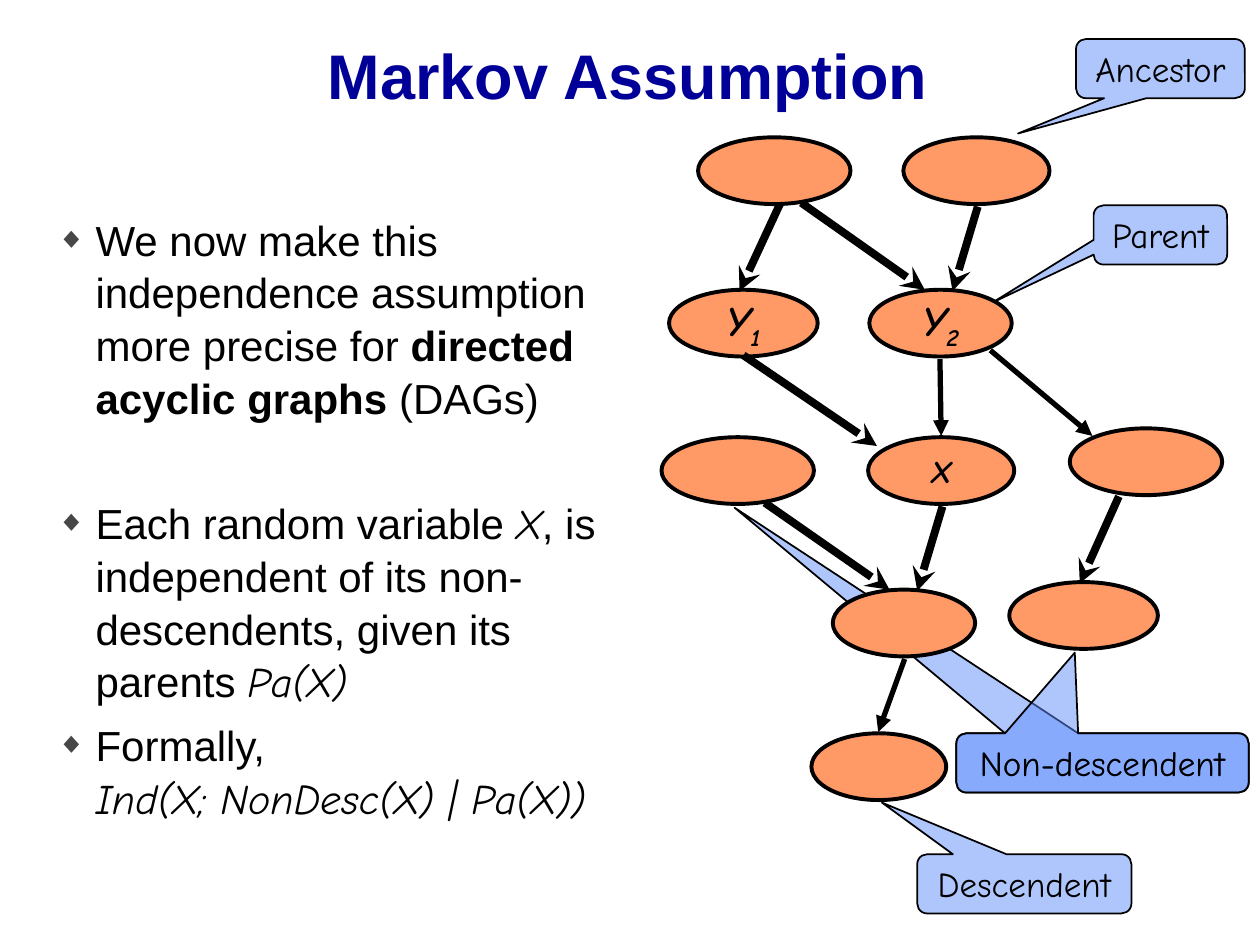
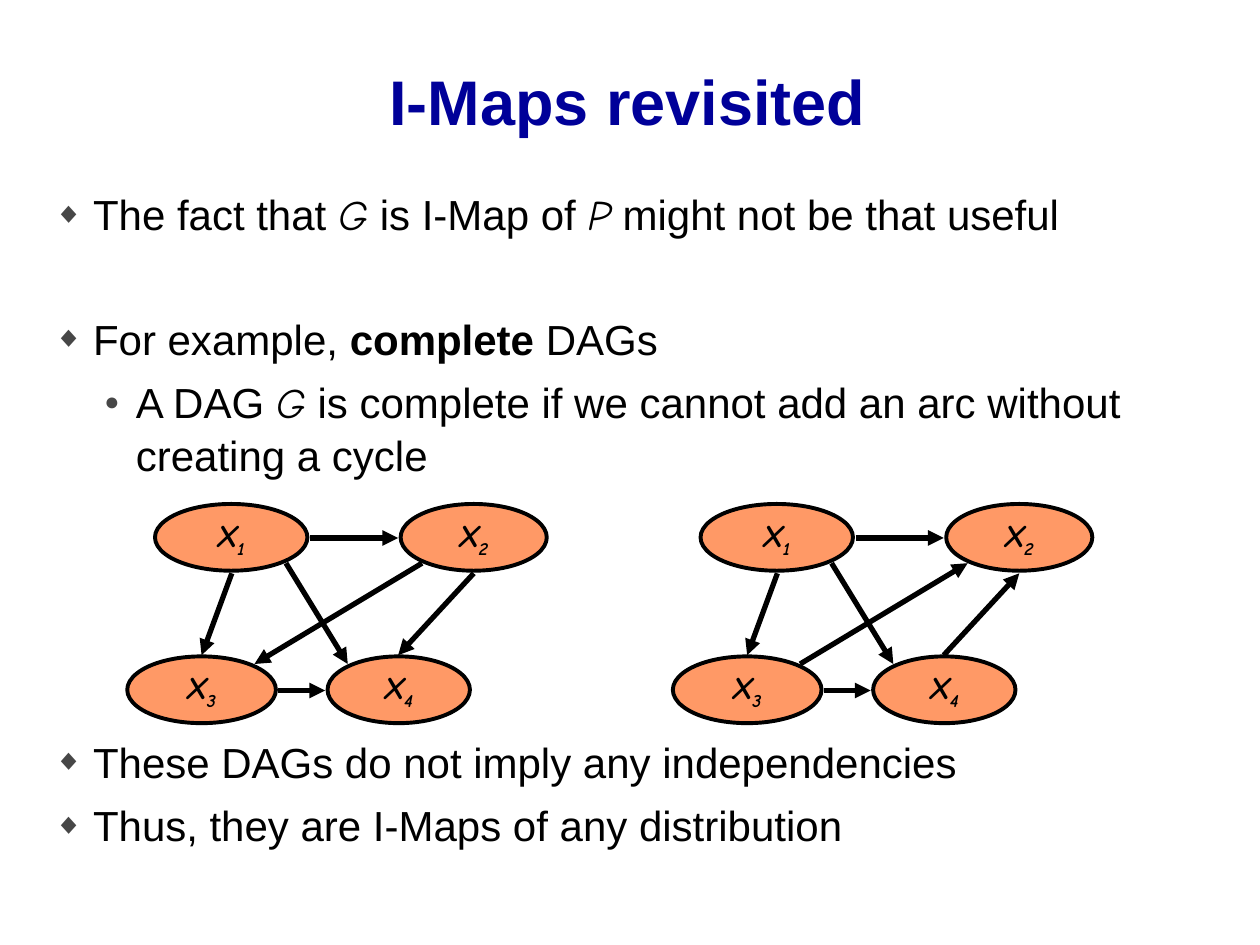
from lxml import etree
from pptx import Presentation
from pptx.dml.color import RGBColor
from pptx.enum.shapes import MSO_CONNECTOR, MSO_SHAPE
from pptx.enum.text import MSO_ANCHOR, PP_ALIGN
from pptx.oxml.ns import qn
from pptx.util import Inches, Pt

OVAL = MSO_SHAPE.OVAL
CALLOUT = MSO_SHAPE.ROUNDED_RECTANGULAR_CALLOUT
STRAIGHT = MSO_CONNECTOR.STRAIGHT
CENTER = PP_ALIGN.CENTER
MIDDLE = MSO_ANCHOR.MIDDLE
TITLE_ONLY = 5

COLORS = {"title": "000099", "text": "000000", "bullet": "474747",
          "node": "FF9966", "label": "618FFD"}
SANS, HAND = "Arial", "Comic Neue"
NODE_H, LABEL_H = 0.53, 0.47
THIN, THICK = (3, "triangle"), (4.5, "stealth")

# Bullet levels: sign, size in percent, left margin, hanging indent
LEVELS = [("◆", 70, 0.31, 0.31), ("●", 60, 0.65, 0.25)]
GAP, WIDE = 6, 41

# Each bullet: level, space before, runs of (text, style);
# style "b" is bold, "m" is mathematical
MARKOV = [
    (0, 0, [("We now make this independence assumption more precise for ", ""),
            ("directed acyclic graphs", "b"), (" (DAGs)", "")]),
    (0, WIDE, [("Each random variable ", ""), ("X", "m"),
               (", is independent of its non-descendents, given its parents ", ""),
               ("Pa(X)", "m")]),
    (0, GAP, [("Formally,", ""), ("\n", ""), ("Ind(X; NonDesc(X) | Pa(X))", "m")]),
]
IMAPS = [
    (0, 0, [("The fact that ", ""), ("G", "m"), (" is I-Map of ", ""), ("P", "m"),
            (" might not be that useful", "")]),
    (0, WIDE, [("For example, ", ""), ("complete", "b"), (" DAGs", "")]),
    (1, GAP, [("A DAG ", ""), ("G", "m"),
              (" is complete if we cannot add an arc without creating a cycle", "")]),
    (0, 145, [("These DAGs do not imply any independencies", "")]),
    (0, GAP, [("Thus, they are I-Maps of any distribution", "")]),
]

# Nodes: left, top, width, name, index, text size
NET_NODES = [
    (0.29, 0, 1.21, "", "", 18), (1.92, 0, 1.16, "", "", 18),
    (0.06, 1.21, 1.18, "Y", "1", 24), (1.65, 1.21, 1.13, "Y", "2", 24),
    (0, 2.38, 1.21, "", "", 18), (1.64, 2.38, 1.16, "X", "", 18),
    (3.24, 2.31, 1.21, "", "", 18), (2.76, 3.53, 1.18, "", "", 18),
    (1.36, 3.59, 1.13, "", "", 18), (1.19, 4.73, 1.07, "", "", 18),
]
# Arcs: start x, start y, end x, end y
NET_THICK = [
    (0.94, 0.53, 0.62, 1.22), (1.11, 0.52, 2.09, 1.21), (2.51, 0.55, 2.31, 1.22),
    (0.65, 1.73, 1.71, 2.45), (0.82, 2.9, 1.81, 3.59), (2.23, 2.93, 2.03, 3.6),
    (3.63, 2.85, 3.32, 3.54),
]
NET_THIN = [(2.21, 1.76, 2.22, 2.37), (2.61, 1.69, 3.42, 2.37),
            (1.93, 4.14, 1.72, 4.72)]
# Labels: text, left, top, width, tip x, tip y
BACK_LABELS = [
    ("Descendent", 2.03, 5.69, 1.7, 1.75, 5.28),
    ("Ancestor", 3.29, -0.78, 1.34, 2.83, -0.03),
    ("Parent", 3.43, 0.54, 1.06, 2.63, 1.31),
    ("Non-descendent", 2.34, 4.73, 2.32, 0.58, 2.94),
]
FRONT_LABEL = ("Non-descendent", 2.34, 4.73, 2.32, 3.28, 4.09)

DAG_NODES = [(0.22, 0, 1.21, "X", "1", 18), (2.17, 0, 1.16, "X", "2", 18),
             (0, 1.21, 1.18, "X", "3", 18), (1.59, 1.21, 1.13, "X", "4", 18)]
DAG_ARCS = [(0.83, 0.55, 0.59, 1.2), (1.26, 0.47, 1.75, 1.27),
            (1.45, 0.27, 2.15, 0.27), (1.2, 1.48, 1.57, 1.48)]
TURN_ARCS = [(2.75, 0.55, 2.15, 1.2), (2.34, 0.47, 1.01, 1.27)]


def rgb(name):
    return RGBColor.from_string(COLORS[name])


def add_run(para, text, size, face, color="text", bold=False, italic=False):
    run = para.add_run()
    run.text = text
    font = run.font
    font.size, font.name = Pt(size), face
    font.bold, font.italic = bold, italic
    font.color.rgb = rgb(color)
    return run


def set_title(slide, text, height):
    title = slide.shapes.title
    title.left, title.top = Inches(0.38), Inches(0.17)
    title.width, title.height = Inches(9.2), Inches(height)
    frame = title.text_frame
    frame.vertical_anchor = MIDDLE
    para = frame.paragraphs[0]
    para.alignment = CENTER
    add_run(para, text, 36, SANS, "title", bold=True)


def set_bullet(para, level):
    sign, size, left, hang = LEVELS[level]
    props = para._p.get_or_add_pPr()
    props.set("marL", str(Inches(left)))
    props.set("indent", str(-Inches(hang)))
    color = etree.SubElement(props, qn("a:buClr"))
    etree.SubElement(color, qn("a:srgbClr"), val=COLORS["bullet"])
    etree.SubElement(props, qn("a:buSzPct"), val=str(size * 1000))
    etree.SubElement(props, qn("a:buFont"), typeface=SANS)
    etree.SubElement(props, qn("a:buChar"), char=sign)


def add_body(slide, box, items):
    frame = slide.shapes.add_textbox(*map(Inches, box)).text_frame
    frame.word_wrap = True
    for i, (level, before, runs) in enumerate(items):
        para = frame.add_paragraph() if i else frame.paragraphs[0]
        set_bullet(para, level)
        para.line_spacing = 1.05
        para.space_before = Pt(before)
        for text, style in runs:
            if text == "\n":
                para.add_line_break()
                continue
            math = style == "m"
            add_run(para, text, 24, HAND if math else SANS,
                    bold=style == "b", italic=math)


def add_form(slide, kind, box, fill, weight):
    """Add an outlined shape and return it with its centred paragraph."""
    form = slide.shapes.add_shape(kind, *map(Inches, box))
    form.shadow.inherit = False
    form.fill.solid()
    form.fill.fore_color.rgb = rgb(fill)
    form.line.color.rgb = rgb("text")
    form.line.width = Pt(weight)
    frame = form.text_frame
    frame.word_wrap = False
    frame.vertical_anchor = MIDDLE
    para = frame.paragraphs[0]
    para.alignment = CENTER
    return form, para


def add_node(slide, x, y, node):
    left, top, width, name, index, size = node
    para = add_form(slide, OVAL, (x + left, y + top, width, NODE_H), "node", 2.25)[1]
    if name:
        add_run(para, name, size, HAND, bold=True, italic=True)
    if index:
        run = add_run(para, index, size, HAND, bold=True, italic=True)
        run._r.get_or_add_rPr().set("baseline", "-25000")


def add_arc(slide, x, y, arc, style):
    x1, y1, x2, y2 = arc
    weight, head = style
    line = slide.shapes.add_connector(
        STRAIGHT, Inches(x + x1), Inches(y + y1), Inches(x + x2), Inches(y + y2))
    line.line.color.rgb = rgb("text")
    line.line.width = Pt(weight)
    etree.SubElement(line.line._get_or_add_ln(), qn("a:tailEnd"), type=head)
    etree.SubElement(line._element.spPr, qn("a:effectLst"))


def add_label(slide, x, y, label):
    text, left, top, width, tip_x, tip_y = label
    box = (x + left, y + top, width, LABEL_H)
    form, para = add_form(slide, CALLOUT, box, "label", 1)
    form.adjustments[0] = (tip_x - left) / width - 0.5
    form.adjustments[1] = (tip_y - top) / LABEL_H - 0.5
    color = form._element.spPr.find(qn("a:solidFill"))[0]
    etree.SubElement(color, qn("a:alpha"), val="50000")
    add_run(para, text, 20, HAND)


def add_graph(slide, x, y, nodes, thin, thick=()):
    for node in nodes:
        add_node(slide, x, y, node)
    for arcs, style in ((thin, THIN), (thick, THICK)):
        for arc in arcs:
            add_arc(slide, x, y, arc, style)


def add_net(slide, x, y):
    for label in BACK_LABELS:
        add_label(slide, x, y, label)
    add_graph(slide, x, y, NET_NODES, NET_THIN, NET_THICK)
    add_label(slide, x, y, FRONT_LABEL)


def new_slide(deck, title, height):
    slide = deck.slides.add_slide(deck.slide_layouts[TITLE_ONLY])
    set_title(slide, title, height)
    return slide


def markov_slide(deck):
    slide = new_slide(deck, "Markov Assumption", 0.84)
    add_body(slide, (0.35, 1.63, 4.99, 5.49), MARKOV)
    add_net(slide, 5.25, 1.09)


def imaps_slide(deck):
    slide = new_slide(deck, "I-Maps revisited", 1.25)
    add_body(slide, (0.33, 1.43, 9.45, 5.59), IMAPS)
    turned = [(x2, y2, x1, y1) for x1, y1, x2, y2 in TURN_ARCS]
    for x, arcs in ((1.01, TURN_ARCS), (5.34, turned)):
        add_graph(slide, x, 4, DAG_NODES, DAG_ARCS + arcs)


def main():
    deck = Presentation()
    deck.slide_width, deck.slide_height = Inches(10), Inches(7.5)
    markov_slide(deck)
    imaps_slide(deck)
    deck.save("out.pptx")


if __name__ == "__main__":
    main()
